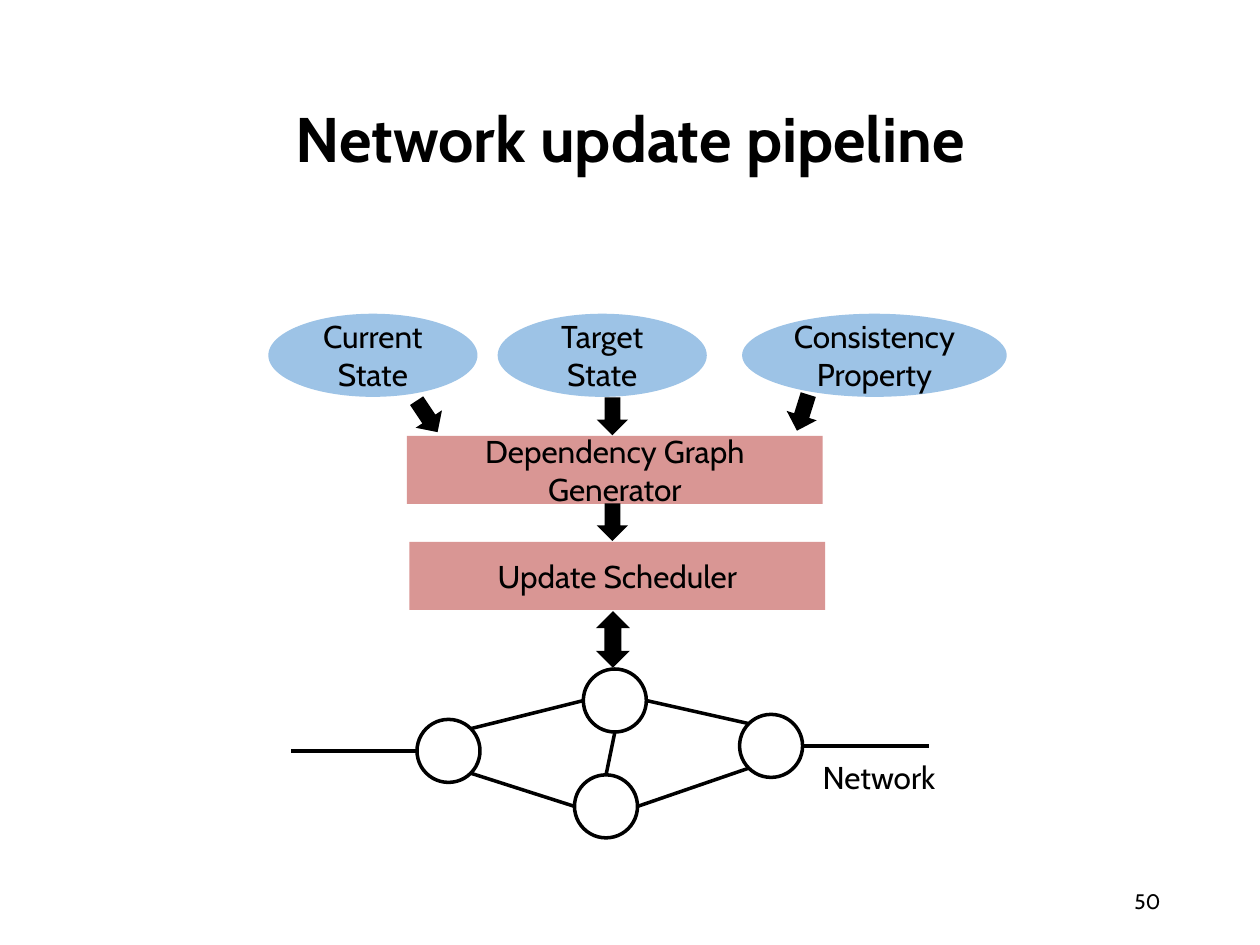
from dataclasses import dataclass
from math import cos, radians, sin
from typing import Any, NamedTuple, Optional

from lxml.etree import SubElement
from pptx import Presentation
from pptx.dml.color import RGBColor
from pptx.enum.shapes import MSO_CONNECTOR, MSO_SHAPE
from pptx.enum.text import MSO_ANCHOR, PP_ALIGN
from pptx.oxml.ns import qn
from pptx.util import Inches, Pt


@dataclass(frozen=True)
class Theme:
    font: str = "Cabin"
    ink: str = "000000"
    paper: str = "FFFFFF"
    state: str = "9DC3E6"
    stage: str = "D99694"
    title_size: int = 36
    body_size: int = 18
    number_size: int = 12
    line_width: int = 2


class Area(NamedTuple):
    column: float
    row: float
    columns: float
    rows: float


class Label(NamedTuple):
    lines: tuple[str, ...]
    size: int
    align: PP_ALIGN = PP_ALIGN.CENTER
    anchor: MSO_ANCHOR = MSO_ANCHOR.MIDDLE
    bold: bool = False
    spacing: Optional[float] = None
    side_margin: float = 0.1


class Block(NamedTuple):
    kind: MSO_SHAPE
    area: Area
    fill: str
    lines: tuple[str, ...] = ()
    rotation: float = 0
    side_margin: float = 0.1


class Node(NamedTuple):
    column: float
    row: float

    def site(self, angle: float) -> tuple[float, float]:
        turn = radians(angle)
        return self.column + RADIUS * cos(turn), self.row + RADIUS * sin(turn)


THEME = Theme()
WIDTH, HEIGHT = Inches(10), Inches(7.5)
COLUMNS, ROWS = 100, 75
RADIUS = 2.5
EAST, SOUTH_EAST, SOUTH, SOUTH_WEST, WEST, NORTH_WEST, NORTH, NORTH_EAST = range(0, 360, 45)


def x_at(column: float) -> int:
    return round(WIDTH * column / COLUMNS)


def y_at(row: float) -> int:
    return round(HEIGHT * row / ROWS)


def place(area: Area) -> tuple[int, int, int, int]:
    return x_at(area.column), y_at(area.row), x_at(area.columns), y_at(area.rows)


def set_all(target: Any, values: dict[str, Any]) -> None:
    for name, value in values.items():
        setattr(target, name, value)


def write(box: Any, label: Label) -> None:
    frame = box.text_frame
    margin = Inches(label.side_margin)
    set_all(frame, {"word_wrap": True, "vertical_anchor": label.anchor,
                    "margin_left": margin, "margin_right": margin})
    for index, line in enumerate(label.lines):
        para = frame.add_paragraph() if index else frame.paragraphs[0]
        set_all(para, {"alignment": label.align, "line_spacing": label.spacing})
        span = para.add_run()
        span.text = line
        set_all(span.font, {"name": THEME.font, "size": Pt(label.size), "bold": label.bold})
        span.font.color.rgb = RGBColor.from_string(THEME.ink)


def add_label(page: Any, area: Area, label: Label) -> None:
    write(page.shapes.add_textbox(*place(area)), label)


def add_block(page: Any, block: Block) -> Any:
    shape = page.shapes.add_shape(block.kind, *place(block.area))
    shape.shadow.inherit = False
    shape.rotation = block.rotation
    shape.fill.solid()
    shape.fill.fore_color.rgb = RGBColor.from_string(block.fill)
    shape.line.fill.background()
    if block.lines:
        write(shape, Label(block.lines, THEME.body_size, side_margin=block.side_margin))
    return shape


def ink_line(line: Any) -> None:
    line.color.rgb = RGBColor.from_string(THEME.ink)
    line.width = Pt(THEME.line_width)


def add_node(page: Any, node: Node) -> None:
    area = Area(node.column - RADIUS, node.row - RADIUS, 2 * RADIUS, 2 * RADIUS)
    ink_line(add_block(page, Block(MSO_SHAPE.OVAL, area, THEME.paper)).line)


def add_link(page: Any, start: tuple[float, float], end: tuple[float, float]) -> None:
    link = page.shapes.add_connector(
        MSO_CONNECTOR.STRAIGHT, x_at(start[0]), y_at(start[1]), x_at(end[0]), y_at(end[1]))
    ink_line(link.line)
    SubElement(link._element.spPr, qn("a:effectLst"))


def add_network(page: Any) -> None:
    left, top, bottom, right = Node(35.6, 59.6), Node(48.8, 55.6), Node(48.1, 64), Node(61.2, 59.2)
    reach = 10
    left_end, right_end = left.site(WEST), right.site(EAST)
    links = (
        (left.site(NORTH_EAST), top.site(WEST)),
        (left.site(SOUTH_EAST), bottom.site(WEST)),
        (top.site(EAST), right.site(NORTH_WEST)),
        (bottom.site(EAST), right.site(SOUTH_WEST)),
        (top.site(SOUTH), bottom.site(NORTH)),
        (left_end, (left_end[0] - reach, left_end[1])),
        (right_end, (right_end[0] + reach, right_end[1])),
    )
    for node in (left, top, bottom, right):
        add_node(page, node)
    for start, end in links:
        add_link(page, start, end)
    add_label(page, Area(64.3, 59.7, 11.6, 4),
              Label(("Network",), THEME.body_size, PP_ALIGN.LEFT, MSO_ANCHOR.TOP))


def main() -> None:
    deck = Presentation()
    set_all(deck, {"slide_width": WIDTH, "slide_height": HEIGHT})
    page = deck.slides.add_slide(deck.slide_layouts[6])

    add_label(page, Area(6.9, 4, 86.2, 14.5),
              Label(("Network update pipeline",), THEME.title_size, bold=True, spacing=0.9))
    add_label(page, Area(70.6, 69.5, 22.5, 4),
              Label(("50",), THEME.number_size, PP_ALIGN.RIGHT))

    stages = ((32.3, 34.6, "Dependency Graph Generator"), (32.5, 43, "Update Scheduler"))
    for column, row, name in stages:
        add_block(page, Block(MSO_SHAPE.RECTANGLE, Area(column, row, 33, 5.4), THEME.stage, (name,)))

    add_network(page)

    states = ((21.3, 16.6, ("Current", "State")), (39.5, 16.6, ("Target", "State")),
              (58.9, 21, ("Consistency", "Property")))
    for column, columns, lines in states:
        add_block(page, Block(MSO_SHAPE.OVAL, Area(column, 24.9, columns, 6.6),
                              THEME.state, lines, side_margin=0))

    arrows = ((47.1, 40.2, 90), (47.1, 31.8, 90), (32.4, 31.8, 56.3), (62.2, 31.5, 107.4))
    for column, row, rotation in arrows:
        add_block(page, Block(MSO_SHAPE.RIGHT_ARROW, Area(column, row, 3, 2.5),
                              THEME.ink, rotation=rotation))
    add_block(page, Block(MSO_SHAPE.UP_DOWN_ARROW, Area(47.3, 48.5, 2.7, 4.5), THEME.ink))

    deck.save("out.pptx")


if __name__ == "__main__":
    main()
